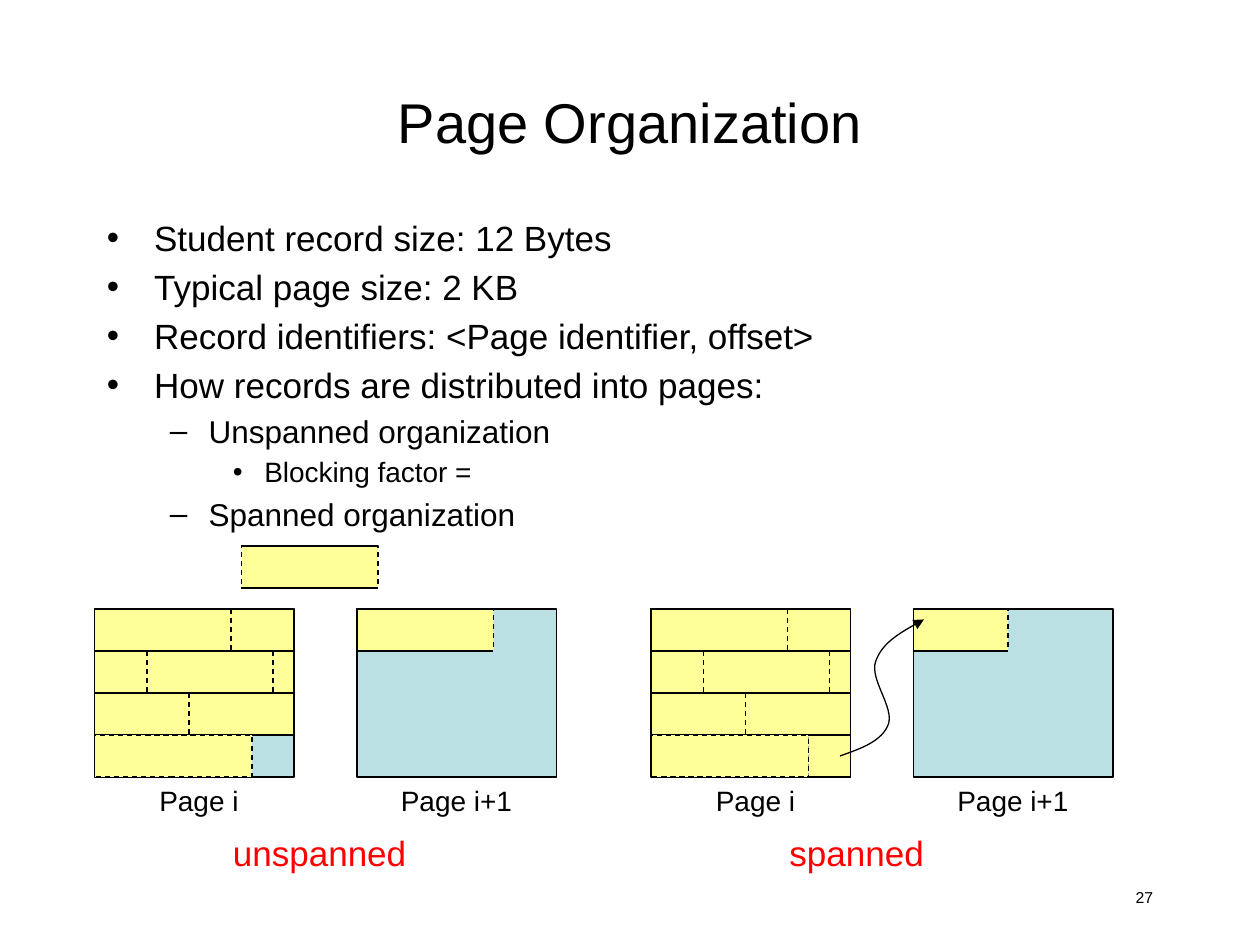
from lxml.etree import SubElement
from pptx import Presentation
from pptx.dml.color import RGBColor
from pptx.enum.dml import MSO_LINE
from pptx.enum.shapes import MSO_CONNECTOR, MSO_SHAPE
from pptx.enum.text import MSO_ANCHOR, MSO_AUTO_SIZE, PP_ALIGN
from pptx.oxml.ns import qn
from pptx.util import Emu, Pt

SCALE = 7620
COLORS = {"ink": "000000", "label": "FF0000", "page": "BBE0E3", "record": "FFFF99"}
PAGE_TOP = 580
PAGE_WIDTH = 190
PAGE_GAP = 60
ROW = 40
DIVIDERS = [(0, 130), (1, 50), (1, 170), (2, 90)]
LEVELS = [(45, -45, "•", 20), (97, -37, "–", 18), (150, -30, "•", 16)]
BULLETS = [
    (0, "Student record size: 12 Bytes"),
    (0, "Typical page size: 2 KB"),
    (0, "Record identifiers: <Page identifier, offset>"),
    (0, "How records are distributed into pages:"),
    (1, "Unspanned organization"),
    (2, "Blocking factor ="),
    (1, "Spanned organization"),
]
CURVE = [(800, 720), (820, 713), (840, 706), (846, 690), (852, 674),
         (828, 647), (834, 630), (840, 613), (860, 601), (880, 590)]


def px(*values):
    return [Emu(value * SCALE) for value in values]


def color(name):
    return RGBColor.from_string(COLORS[name])


def style_font(paragraph, size, ink="ink"):
    paragraph.font.name = "Arial"
    paragraph.font.size = Pt(size)
    paragraph.font.color.rgb = color(ink)


def style_line(line, dashed=False):
    line.color.rgb = color("ink")
    line.width = Pt(0.75)
    if dashed:
        line.dash_style = MSO_LINE.DASH


def add_title(slide, text):
    title = slide.shapes.title
    title.left, title.top, title.width, title.height = px(90, 40, 1020, 150)
    title.text_frame.text = text
    title.text_frame.vertical_anchor = MSO_ANCHOR.MIDDLE
    paragraph = title.text_frame.paragraphs[0]
    paragraph.alignment = PP_ALIGN.CENTER
    style_font(paragraph, 32)


def add_bullets(slide, items):
    frame = slide.shapes.add_textbox(*px(90, 200, 1020, 620)).text_frame
    frame.word_wrap = True
    for index, (level, text) in enumerate(items):
        paragraph = frame.paragraphs[0] if index == 0 else frame.add_paragraph()
        margin, indent, mark, size = LEVELS[level]
        paragraph.text = text
        paragraph.level = level
        if index:
            paragraph.space_before = Pt(size / 5)
        properties = paragraph._p.get_or_add_pPr()
        properties.set("marL", str(margin * SCALE))
        properties.set("indent", str(indent * SCALE))
        SubElement(properties, qn("a:buFont")).set("typeface", "Arial")
        SubElement(properties, qn("a:buChar")).set("char", mark)
        style_font(paragraph, size)


def add_label(slide, text, area, size, ink="ink"):
    box = slide.shapes.add_textbox(*px(*area))
    frame = box.text_frame
    frame.text = text
    frame.word_wrap = False
    frame.auto_size = MSO_AUTO_SIZE.SHAPE_TO_FIT_TEXT
    style_font(frame.paragraphs[0], size, ink)


def add_number(slide, text):
    frame = slide.shapes.add_textbox(*px(860, 840, 250, 40)).text_frame
    frame.text = text
    frame.word_wrap = True
    paragraph = frame.paragraphs[0]
    paragraph.alignment = PP_ALIGN.RIGHT
    style_font(paragraph, 9)


def add_block(slide, left, top, width, height=ROW, fill="record", dashed=False):
    block = slide.shapes.add_shape(MSO_SHAPE.RECTANGLE, *px(left, top, width, height))
    block.shadow.inherit = False
    block.fill.solid()
    block.fill.fore_color.rgb = color(fill)
    style_line(block.line, dashed)


def add_edge(slide, start, end, dashed=False):
    edge = slide.shapes.add_connector(MSO_CONNECTOR.STRAIGHT, *px(*start, *end))
    style_line(edge.line, dashed)
    SubElement(edge._element.spPr, qn("a:effectLst"))


def add_record(slide, left, top, width, solid_edges):
    add_block(slide, left, top, width, dashed=True)
    right, bottom = left + width, top + ROW
    edges = {
        "top": ((left, top), (right, top)),
        "bottom": ((left, bottom), (right, bottom)),
        "left": ((left, top), (left, bottom)),
        "right": ((right, top), (right, bottom)),
    }
    for name in solid_edges:
        add_edge(slide, *edges[name])


def add_page_pair(slide, left):
    next_left = left + PAGE_WIDTH + PAGE_GAP
    for page_left in (next_left, left):
        add_block(slide, page_left, PAGE_TOP, PAGE_WIDTH, 4 * ROW, "page")
    for row in range(3):
        add_block(slide, left, PAGE_TOP + row * ROW, PAGE_WIDTH)
    add_record(slide, left, PAGE_TOP + 3 * ROW, 150, ["left"])
    for row, offset in DIVIDERS:
        top = PAGE_TOP + row * ROW
        add_edge(slide, (left + offset, top), (left + offset, top + ROW), dashed=True)
    add_label(slide, "Page i", (left + 50, 740, 100, 44), 16)
    add_label(slide, "Page i+1", (left + 280, 740, 131, 44), 16)


def add_curved_arrow(slide, points):
    builder = slide.shapes.build_freeform(*points[0], scale=SCALE)
    builder.add_line_segments(points[1:], close=False)
    arrow = builder.convert_to_shape()
    arrow.shadow.inherit = False
    arrow.fill.background()
    style_line(arrow.line)
    segments = list(arrow._element.iter(qn("a:lnTo")))
    outline = segments[0].getparent()
    for first in range(0, len(segments), 3):
        curve = SubElement(outline, qn("a:cubicBezTo"))
        for segment in segments[first:first + 3]:
            curve.append(segment[0])
            outline.remove(segment)
    SubElement(arrow.line._get_or_add_ln(), qn("a:tailEnd")).set("type", "triangle")


def main():
    deck = Presentation()
    deck.slide_width, deck.slide_height = px(1200, 900)
    slide = deck.slides.add_slide(deck.slide_layouts[5])
    add_number(slide, "27")
    add_page_pair(slide, 90)
    add_page_pair(slide, 620)
    add_title(slide, "Page Organization")
    add_bullets(slide, BULLETS)
    add_record(slide, 230, 520, 130, ["top", "bottom"])
    add_record(slide, 340, PAGE_TOP, 130, ["top", "bottom", "left"])
    add_label(slide, "unspanned", (210, 786, 190, 52), 20, "label")
    add_record(slide, 870, PAGE_TOP, 90, ["top", "bottom", "left"])
    add_label(slide, "spanned", (740, 786, 152, 52), 20, "label")
    add_record(slide, 770, PAGE_TOP + 3 * ROW, 40, ["top", "bottom", "right"])
    add_curved_arrow(slide, CURVE)
    deck.save("out.pptx")


if __name__ == "__main__":
    main()
